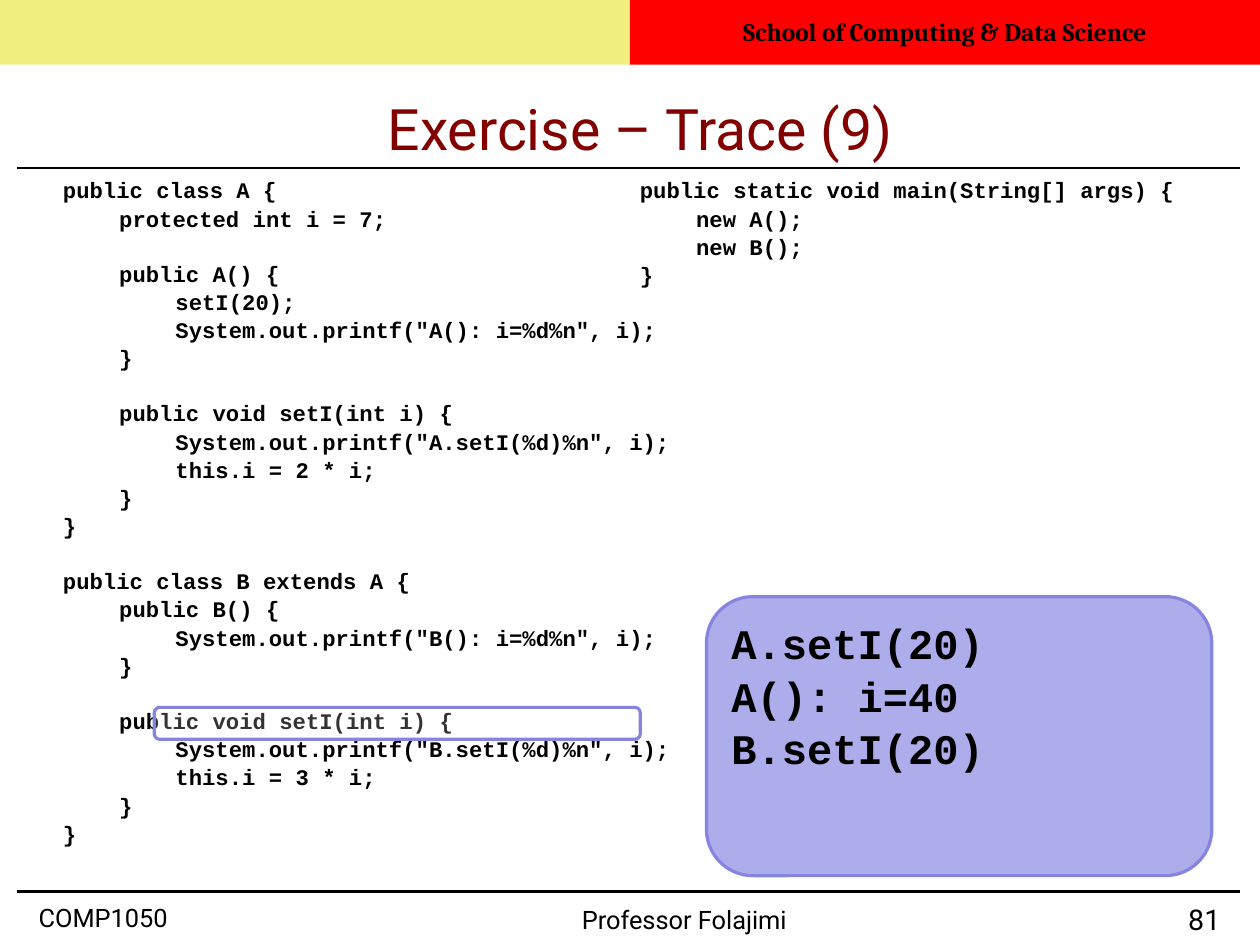
import pptx
import pptx.dml.color
import pptx.enum.shapes
import pptx.enum.text
import pptx.oxml
import pptx.oxml.ns
import pptx.util
from lxml import etree

Cm = pptx.util.Cm
Pt = pptx.util.Pt
RGBColor = pptx.dml.color.RGBColor
ALIGN = pptx.enum.text.PP_ALIGN
ANCHOR = pptx.enum.text.MSO_ANCHOR
SHAPE = pptx.enum.shapes.MSO_SHAPE

BLACK = RGBColor(0x00, 0x00, 0x00)
WHITE = RGBColor(0xFF, 0xFF, 0xFF)
MAROON = RGBColor(0x82, 0x00, 0x00)
YELLOW = RGBColor(0xE3, 0xDE, 0x00)
RED = RGBColor(0xFF, 0x00, 0x00)
LAVENDER = RGBColor(0xAD, 0xAD, 0xEB)
VIOLET = RGBColor(0x85, 0x85, 0xE0)

SLIDE_WIDTH, SLIDE_HEIGHT = 28, 21
INDENT = Cm(1.25)
CODE_LINE = Pt(16.8)

CLASSES = """public class A {
\tprotected int i = 7;

\tpublic A() {
\t\tsetI(20);
\t\tSystem.out.printf("A(): i=%d%n", i);
\t}

\tpublic void setI(int i) {
\t\tSystem.out.printf("A.setI(%d)%n", i);
\t\tthis.i = 2 * i;
\t}
}

public class B extends A {
\tpublic B() {
\t\tSystem.out.printf("B(): i=%d%n", i);
\t}

\tpublic void setI(int i) {
\t\tSystem.out.printf("B.setI(%d)%n", i);
\t\tthis.i = 3 * i;
\t}
}"""

MAIN = """public static void main(String[] args) {
\tnew A();
\tnew B();
}"""

OUTPUT = ["A.setI(20)", "A(): i=40", "B.setI(20)"]


def style(paragraph, font, size, color=BLACK, bold=False, align=ALIGN.LEFT, spacing=1.0):
    paragraph.font.name = font
    paragraph.font.size = Pt(size)
    paragraph.font.color.rgb = color
    paragraph.font.bold = bold
    paragraph.alignment = align
    paragraph.line_spacing = spacing


def clear_margins(frame):
    frame.word_wrap = True
    frame.auto_size = pptx.enum.text.MSO_AUTO_SIZE.NONE
    frame.margin_left = frame.margin_top = frame.margin_right = frame.margin_bottom = 0


def add_panel(slide, kind, box, fill, opacity=100, outline=None):
    """Add a filled shape; box is left, top, width, height in centimetres."""
    panel = slide.shapes.add_shape(kind, *map(Cm, box))
    panel.shadow.inherit = False
    panel.fill.solid()
    panel.fill.fore_color.rgb = fill
    if opacity < 100:
        color = panel.fill._xPr.find(".//" + pptx.oxml.ns.qn("a:srgbClr"))
        etree.SubElement(color, pptx.oxml.ns.qn("a:alpha"), val=str(opacity * 1000))
    if outline is None:
        panel.line.fill.background()
    else:
        panel.line.color.rgb = outline
        panel.line.width = Pt(2)
    return panel


def add_rule(slide, left, top, width):
    rule = slide.shapes.add_connector(
        pptx.enum.shapes.MSO_CONNECTOR.STRAIGHT, Cm(left), Cm(top), Cm(left + width), Cm(top))
    rule.line.color.rgb = BLACK
    rule.line.width = Pt(1.5)
    etree.SubElement(rule._element.spPr, pptx.oxml.ns.qn("a:effectLst"))


def add_banner(slide, left, top, width, height):
    half = width / 2
    add_panel(slide, SHAPE.RECTANGLE, (left, top, half, height), YELLOW, opacity=50)
    school = add_panel(slide, SHAPE.RECTANGLE, (left + half, top, half, height), RED)
    school.text_frame.text = "School of Computing & Data Science"
    school.text_frame.vertical_anchor = ANCHOR.MIDDLE
    style(school.text_frame.paragraphs[0], "Cambria", 16, bold=True,
          align=ALIGN.CENTER, spacing=0.98)


def place_title(slide, left, top, width, height):
    title = slide.shapes.title
    title.left, title.top, title.width, title.height = map(Cm, (left, top, width, height))
    title.text_frame.text = "Exercise – Trace (9)"
    clear_margins(title.text_frame)
    title.text_frame.vertical_anchor = ANCHOR.MIDDLE
    style(title.text_frame.paragraphs[0], "Roboto", 36, MAROON,
          align=ALIGN.CENTER, spacing=1.17)


def add_code(slide, source, left, top, width, height):
    """Show source code: tabs become indents, empty lines become space above."""
    frame = slide.shapes.add_textbox(*map(Cm, (left, top, width, height))).text_frame
    clear_margins(frame)
    paragraph = frame.paragraphs[0]
    after_gap = False
    for number, line in enumerate(source.splitlines()):
        if not line:
            after_gap = True
            continue
        if number:
            paragraph = frame.add_paragraph()
        paragraph.text = line.strip()
        style(paragraph, "Courier New", 14, bold=True, spacing=1.06)
        paragraph.space_before = CODE_LINE if after_gap else 0
        properties = paragraph._p.get_or_add_pPr()
        properties.set("marL", str(line.count("\t") * INDENT))
        properties.set("indent", "0")
        after_gap = False


def add_output(slide, left, top, width, height):
    console = add_panel(slide, SHAPE.ROUNDED_RECTANGLE, (left, top, width, height),
                        LAVENDER, outline=VIOLET)
    frame = console.text_frame
    frame.vertical_anchor = ANCHOR.TOP
    frame.text = "\n".join(OUTPUT)
    for paragraph in frame.paragraphs:
        style(paragraph, "Courier New", 26.5, bold=True, spacing=1.04)


def add_footer(slide, left, top, width):
    add_rule(slide, left, top, width)
    parts = [
        ("COMP1050", 0.48, 0.25, 4.9, 16, ALIGN.LEFT),
        ("Professor Folajimi", 12.55, 0.3, 4.9, 16, ALIGN.LEFT),
        ("81", 24.64, 0.25, 2.1, 18, ALIGN.RIGHT),
    ]
    for text, offset, drop, part_width, size, align in parts:
        frame = slide.shapes.add_textbox(
            Cm(left + offset), Cm(top + drop), Cm(part_width), Cm(0.7)).text_frame
        clear_margins(frame)
        frame.margin_top = Cm(0.05)
        frame.text = text
        style(frame.paragraphs[0], "Roboto", size, align=align, spacing=0.93)


def build_trace_slide(presentation):
    slide = presentation.slides.add_slide(presentation.slide_layouts[5])
    add_banner(slide, 0, 0, SLIDE_WIDTH, 1.44)
    place_title(slide, 3.43, 1.7, 21.59, 2.03)
    add_rule(slide, 0.38, 3.73, 27.18)
    add_code(slide, CLASSES, 1.4, 3.89, 14.3, 14.86)
    add_code(slide, MAIN, 14.22, 3.89, 12.37, 14.86)
    add_panel(slide, SHAPE.ROUNDED_RECTANGLE, (3.43, 15.72, 10.8, 0.71),
              WHITE, opacity=20, outline=VIOLET)
    add_output(slide, 15.7, 13.26, 11.23, 6.2)
    add_footer(slide, 0.38, 19.81, 27.18)


def main():
    presentation = pptx.Presentation()
    presentation.slide_width = Cm(SLIDE_WIDTH)
    presentation.slide_height = Cm(SLIDE_HEIGHT)
    build_trace_slide(presentation)
    presentation.save("out.pptx")


if __name__ == "__main__":
    main()
